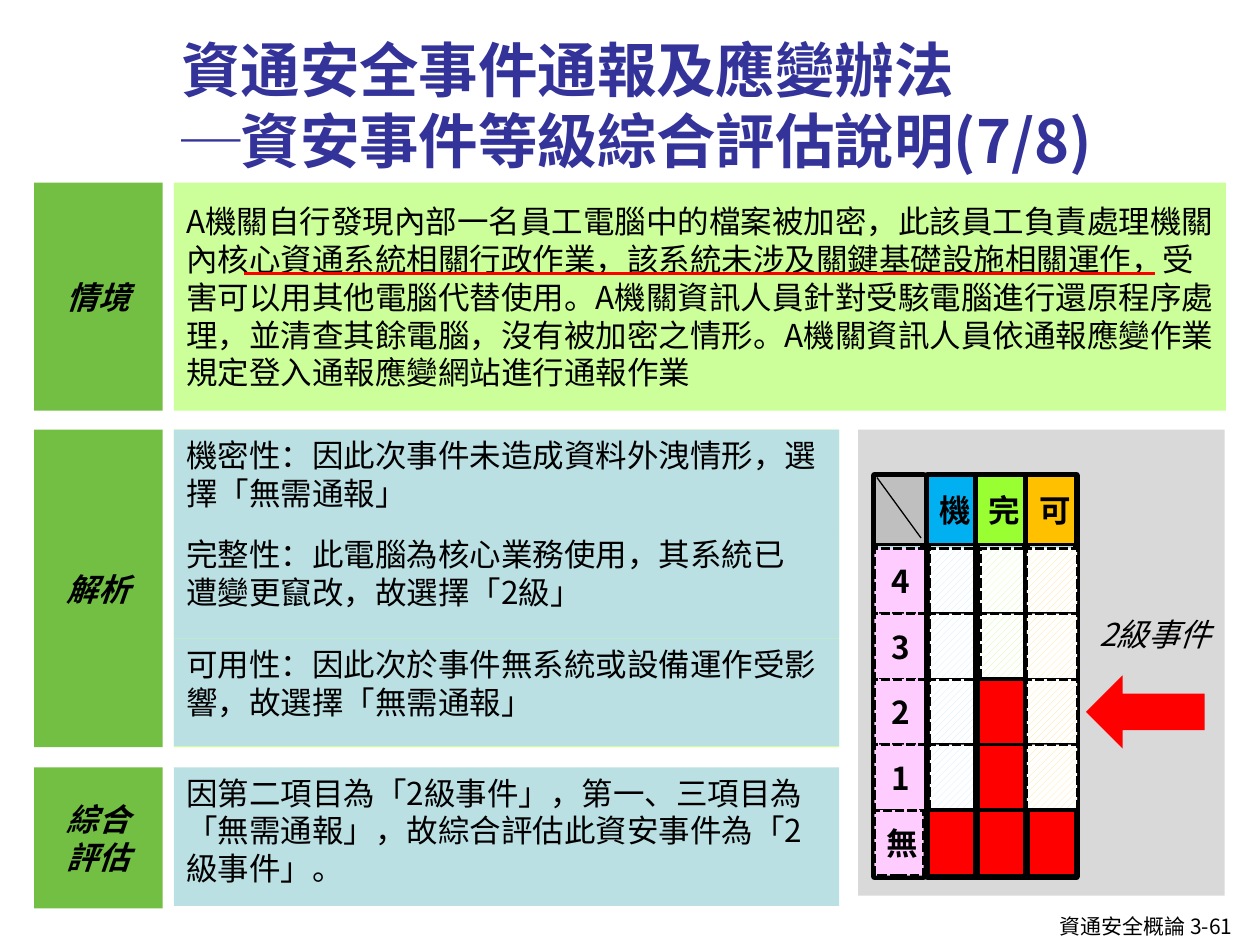
from lxml import etree
from pptx import Presentation
from pptx import util as u
from pptx.dml.color import RGBColor
from pptx.enum import dml, shapes, text
from pptx.oxml.ns import qn

UNIT = u.Inches(0.01)
COLUMNS, ROWS = 1000, 750
FONT = "Noto Sans CJK SC"
BLACK, RED, GREEN, LIME, AQUA = "000000", "FF0000", "72BF44", "CCFF99", "BBE0E3"
LABEL_LEFT, LABEL_WIDTH = 27, 102
BODY_LEFT, BODY_WIDTH = 138, 528


def color(value):
    return RGBColor.from_string(value)


def place(box):
    return [UNIT * length for length in box]


def write(shape, lines, size=18, ink=BLACK, bold=False, italic=False,
          align=text.PP_ALIGN.LEFT, anchor=text.MSO_ANCHOR.TOP, wrap=True):
    frame = shape.text_frame
    frame.word_wrap = wrap
    frame.vertical_anchor = anchor
    frame.text = lines
    for para in frame.paragraphs:
        para.alignment = align
        para.line_spacing = u.Pt(size * 1.2)
        font = para.font
        font.size, font.bold, font.italic = u.Pt(size), bold, italic
        font.color.rgb = color(ink)
        font.name = FONT
        defaults = para._p.pPr.find(qn("a:defRPr"))
        etree.SubElement(defaults, qn("a:ea"), typeface=FONT)


def add_text(page, box, lines, **style):
    write(page.shapes.add_textbox(*place(box)), lines, **style)


def add_panel(page, box, fill, line=None, dash=None, hatch=False,
              kind=shapes.MSO_SHAPE.RECTANGLE):
    panel = page.shapes.add_shape(kind, *place(box))
    panel.shadow.inherit = False
    if hatch:
        panel.fill.patterned()
        panel.fill.pattern = dml.MSO_PATTERN.WIDE_UPWARD_DIAGONAL
        panel.fill.fore_color.rgb = color(fill)
        panel.fill.back_color.rgb = color("FFFFFF")
    else:
        panel.fill.solid()
        panel.fill.fore_color.rgb = color(fill)
    if line:
        panel.line.color.rgb = color(BLACK)
        panel.line.width = u.Pt(line)
        panel.line.dash_style = dash
    else:
        panel.line.fill.background()
    return panel


def add_line(page, start, end, ink, width):
    line = page.shapes.add_connector(
        shapes.MSO_CONNECTOR.STRAIGHT, *place(start + end))
    line.line.color.rgb = color(ink)
    line.line.width = u.Pt(width)
    etree.SubElement(line._element.spPr, qn("a:effectLst"))


def add_label(page, top, height, lines):
    panel = add_panel(page, (LABEL_LEFT, top, LABEL_WIDTH, height), GREEN)
    write(panel, lines, bold=True, italic=True,
          align=text.PP_ALIGN.CENTER, anchor=text.MSO_ANCHOR.MIDDLE)


def add_situation(page, top, height):
    add_label(page, top, height, "情境")
    panel = add_panel(page, (BODY_LEFT, top, 835, height), LIME)
    write(panel, "A機關自行發現內部一名員工電腦中的檔案被加密，此該員工負責處理機關內"
          "核心資通系統相關行政作業，該系統未涉及關鍵基礎設施相關運作，"
          "受害可以用其他電腦代替使用。A機關資訊人員針對受駭電腦進行還原程序處理，"
          "並清查其餘電腦，沒有被加密之情形。"
          "A機關資訊人員依通報應變作業規定登入通報應變網站進行通報作業",
          anchor=text.MSO_ANCHOR.MIDDLE)
    underline = top + 72
    for left, right in ((194, 508), (508, 917)):
        add_line(page, (left, underline), (right, underline), RED, 2)


def add_analysis(page, top, height):
    add_label(page, top, height, "解析")
    add_panel(page, (BODY_LEFT, top, BODY_WIDTH, height), LIME)
    findings = (
        (79, "機密性：因此次事件未造成資料外洩情形，選\v擇「無需通報」"),
        (87, "完整性：此電腦為核心業務使用，其系統已\v遭變更竄改，故選擇「2級」"),
        (85, "可用性：因此次於事件無系統或設備運作受影\v響，故選擇「無需通報」"),
    )
    for part, finding in findings:
        write(add_panel(page, (BODY_LEFT, top, BODY_WIDTH, part), AQUA), finding)
        top += part


def add_conclusion(page, top, height):
    add_label(page, top, height, "綜合\n評估")
    panel = add_panel(page, (BODY_LEFT, top, BODY_WIDTH, height - 2), AQUA)
    write(panel, "因第二項目為「2級事件」，第一、三項目為「無需通報」，"
          "故綜合評估此資安事件為「2級事件」。")


def add_score_grid(page, left, top):
    levels = "4321無"
    header, row, gap, frame = 55, 52, 58, 39
    centered = dict(bold=True, align=text.PP_ALIGN.CENTER,
                    anchor=text.MSO_ANCHOR.MIDDLE)
    columns = (
        (0, "", "BFBFBF", "FFCCFF", 0, 42, ""),
        (42, "機", "00B0F0", "CCECFF", 2, 37, "無"),
        (81, "完", "99FF33", LIME, 3, 37, "21無"),
        (121, "可", "FFC000", "FFE38B", 0, 40, "無"),
    )
    for offset, title, head_fill, fill, inset, width, reached in columns:
        x = left + offset
        is_scale = not title
        add_panel(page, (x, top, frame, gap + row * len(levels) + 1), AQUA, 4)
        head = add_panel(page, (x, top, 42 if is_scale else frame, header),
                         head_fill, 1.75)
        if title:
            write(head, title, **centered)
        for index, level in enumerate(levels):
            y = top + gap + row * index
            if level in reached:
                add_panel(page, (x + 1, y, 38, row), RED, 2)
                continue
            cell_width = frame if level == "無" else width
            cell = add_panel(page, (x + inset, y, cell_width, row), fill, 1.75,
                             dml.MSO_LINE.SQUARE_DOT, hatch=not is_scale)
            if is_scale:
                write(cell, level, **centered)
    add_line(page, (left + 2, top + 2), (left + 37, top + 50), BLACK, 0.75)


def add_rating(page, left, top, width, height):
    add_panel(page, (left, top, width, height), "D9D9D9")
    add_score_grid(page, left + 13, top + 36)
    add_panel(page, (left + 181, top + 195, 94, 58), RED,
              kind=shapes.MSO_SHAPE.LEFT_ARROW)
    add_text(page, (left + 181, top + 142, 110, 49), "2級事件",
             italic=True, align=text.PP_ALIGN.CENTER)


def main():
    deck = Presentation()
    deck.slide_width, deck.slide_height = UNIT * COLUMNS, UNIT * ROWS
    page = deck.slides.add_slide(deck.slide_layouts[6])
    add_text(page, (831, 720, 169, 30), "資通安全概論 3-61", size=12, wrap=False)
    add_text(page, (134, 21, 816, 102),
             "資通安全事件通報及應變辦法\v─資安事件等級綜合評估說明(7/8)",
             size=34, ink="333399", bold=True)
    add_situation(page, 145, 181)
    add_analysis(page, 341, 252)
    add_conclusion(page, 609, 112)
    add_rating(page, 681, 341, 291, 370)
    deck.save("out.pptx")


if __name__ == "__main__":
    main()
